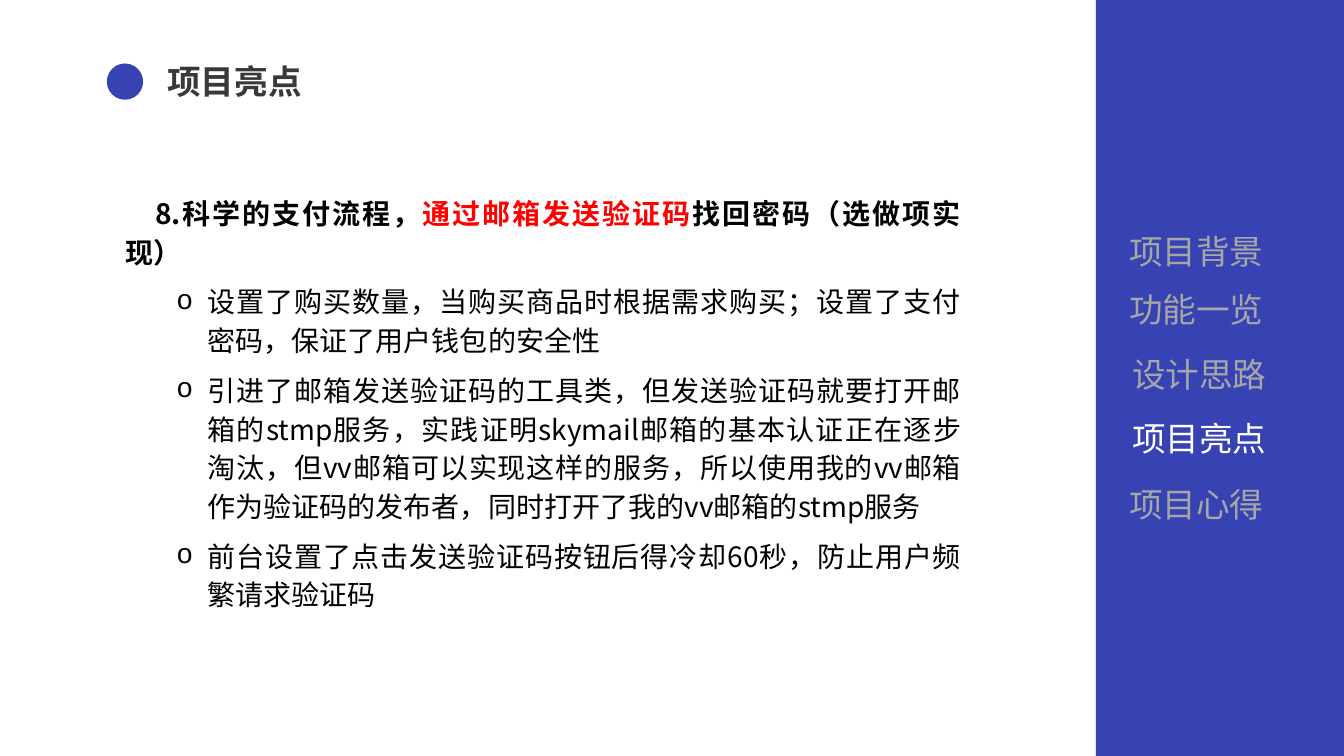
from lxml.etree import SubElement
from pptx import Presentation
from pptx.dml.color import RGBColor
from pptx.enum.shapes import MSO_SHAPE
from pptx.enum.text import PP_ALIGN
from pptx.oxml.ns import qn
from pptx.util import Inches, Pt

FONT = "Noto Sans CJK SC"
COLORS = {"blue": "3843B3", "title": "3B3838", "active": "FFFFFF",
          "muted": "A6A6A6", "text": "000000", "accent": "FF0000"}
TITLE = "项目亮点"
NAVIGATION = [
    ("项目背景", 11.1, 2.24),
    ("功能一览", 11.1, 2.82),
    ("设计思路", 11.13, 3.46),
    ("项目亮点", 11.13, 4.1),
    ("项目心得", 11.1, 4.75),
]
HEADING = [
    ("8.科学的支付流程，", "text"),
    ("通过邮箱发送验证码", "accent"),
    ("找回密码（选做项实现）", "text"),
]
BULLETS = [
    "设置了购买数量，当购买商品时根据需求购买；设置了支付密码，保证了用户钱包的安全性",
    "引进了邮箱发送验证码的工具类，但发送验证码就要打开邮箱的stmp服务，"
    "实践证明skymail邮箱的基本认证正在逐步淘汰，但vv邮箱可以实现这样的服务，"
    "所以使用我的vv邮箱作为验证码的发布者，同时打开了我的vv邮箱的stmp服务",
    "前台设置了点击发送验证码按钮后得冷却60秒，防止用户频繁请求验证码",
]


def rgb(name):
    """Return the named palette colour."""
    return RGBColor.from_string(COLORS[name])


def add_block(slide, kind, left, top, width, height):
    """Add a plain blue shape."""
    shape = slide.shapes.add_shape(
        kind, Inches(left), Inches(top), Inches(width), Inches(height))
    shape.shadow.inherit = False
    shape.fill.solid()
    shape.fill.fore_color.rgb = rgb("blue")
    shape.line.fill.background()


def add_text_frame(slide, left, top, width, height):
    """Add a wrapping text box and return its frame."""
    box = slide.shapes.add_textbox(
        Inches(left), Inches(top), Inches(width), Inches(height))
    box.text_frame.word_wrap = True
    return box.text_frame


def style(paragraph, size, color=None, bold=False):
    """Set the font of a whole paragraph."""
    font = paragraph.font
    font.name, font.size, font.bold = FONT, Pt(size), bold
    if color:
        font.color.rgb = rgb(color)
    SubElement(font._element, qn("a:ea"), typeface=FONT)


def add_label(slide, text, left, top, width, color, bold=False):
    """Add a one-line label."""
    paragraph = add_text_frame(slide, left, top, width, 0.5).paragraphs[0]
    paragraph.text = text
    style(paragraph, 24, color, bold)


def lay_out(paragraph, margin, indent):
    """Set alignment, spacing and indents of a body paragraph."""
    paragraph.alignment = PP_ALIGN.JUSTIFY
    paragraph.line_spacing = 1.15
    paragraph.space_after = Pt(8)
    properties = paragraph._p.get_or_add_pPr()
    properties.set("marL", str(Inches(margin)))
    properties.set("indent", str(Inches(indent)))
    return properties


def add_body(slide):
    """Add the heading and its bullets."""
    frame = add_text_frame(slide, 1.15, 1.85, 8.48, 4.34)
    heading = frame.paragraphs[0]
    lay_out(heading, 0, 0.29)
    style(heading, 20, bold=True)
    for text, color in HEADING:
        run = heading.add_run()
        run.text = text
        run.font.color.rgb = rgb(color)
    for text in BULLETS:
        paragraph = frame.add_paragraph()
        paragraph.text = text
        paragraph.level = 1
        properties = lay_out(paragraph, 0.81, -0.31)
        SubElement(properties, qn("a:buFont"), typeface="Courier New")
        SubElement(properties, qn("a:buChar"), char="o")
        tabs = SubElement(properties, qn("a:tabLst"))
        SubElement(tabs, qn("a:tab"), pos=str(Inches(1)), algn="l")
        style(paragraph, 20, "text")


def main():
    """Build the project highlights slide."""
    presentation = Presentation()
    presentation.slide_width = Inches(13.33)
    presentation.slide_height = Inches(7.5)
    slide = presentation.slides.add_slide(presentation.slide_layouts[6])
    add_block(slide, MSO_SHAPE.RECTANGLE, 10.87, 0, 2.46, 7.5)
    add_label(slide, TITLE, 1.56, 0.56, 2.91, "title", bold=True)
    add_block(slide, MSO_SHAPE.OVAL, 1.06, 0.63, 0.36, 0.36)
    for text, left, top in NAVIGATION:
        color = "active" if text == TITLE else "muted"
        add_label(slide, text, left, top, 1.95, color)
    add_body(slide)
    presentation.save("out.pptx")


if __name__ == "__main__":
    main()
